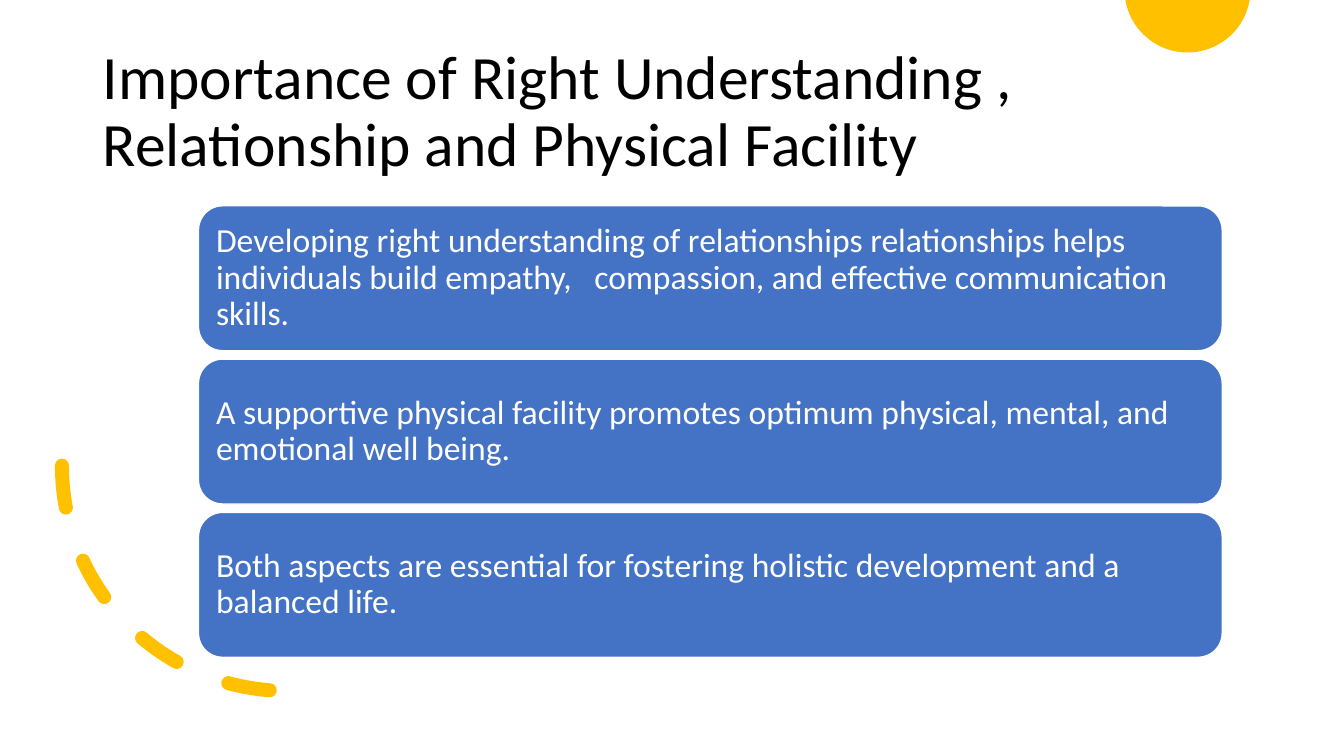
from dataclasses import dataclass
from math import asin, cos, pi, sin

from pptx import Presentation
from pptx.dml.color import RGBColor
from pptx.enum.dml import MSO_LINE
from pptx.enum.shapes import MSO_SHAPE
from pptx.enum.text import MSO_ANCHOR, PP_ALIGN
from pptx.util import Pt

EMU_PER_PX = 9525
DASH = MSO_LINE.DASH
ARC, ROUNDED = MSO_SHAPE.ARC, MSO_SHAPE.ROUNDED_RECTANGLE
MIDDLE, LEFT = MSO_ANCHOR.MIDDLE, PP_ALIGN.LEFT


@dataclass(frozen=True)
class Theme:
    font: str = "Calibri"
    title_size: int = 44
    body_size: int = 24
    ink: str = "000000"
    paper: str = "FFFFFF"
    card: str = "4472C4"
    accent: str = "FFC000"


THEME = Theme()
TITLE = "Importance of Right Understanding , Relationship and Physical Facility"
POINTS = [
    "Developing right understanding of relationships relationships helps "
    "individuals build empathy,   compassion, and effective communication skills.",
    "A supportive physical facility promotes optimum physical, mental, and "
    "emotional well being.",
    "Both aspects are essential for fostering holistic development and a balanced life.",
]


def px(*lengths):
    return [length * EMU_PER_PX for length in lengths]


def rgb(colour):
    return RGBColor.from_string(colour)


def write_text(box, text, *, size, colour, inset_x=10, inset_y=5):
    frame = box.text_frame
    frame.word_wrap = True
    frame.vertical_anchor = MIDDLE
    frame.margin_left = frame.margin_right = inset_x * EMU_PER_PX
    frame.margin_top = frame.margin_bottom = inset_y * EMU_PER_PX
    para = frame.paragraphs[0]
    para.alignment = LEFT
    para.line_spacing = 0.9
    span = para.add_run()
    span.text = text
    span.font.name = THEME.font
    span.font.size = Pt(size)
    span.font.color.rgb = rgb(colour)


def add_cut_disc(page, centre_x, centre_y, radius, steps=60):
    """Draw the part of a disc that lies below the top edge of the page."""
    start = asin(-centre_y / radius)
    angles = [start + (pi - 2 * start) * step / steps for step in range(steps + 1)]
    outline = [
        (round((centre_x + radius * cos(angle)) * EMU_PER_PX),
         round((centre_y + radius * sin(angle)) * EMU_PER_PX))
        for angle in angles
    ]
    builder = page.shapes.build_freeform(*outline[0])
    builder.add_line_segments(outline[1:], close=True)
    disc = builder.convert_to_shape()
    disc.shadow.inherit = False
    disc.fill.solid()
    disc.fill.fore_color.rgb = rgb(THEME.accent)
    disc.line.fill.background()


def add_dashed_arc(page, left, top, size):
    """Draw the lower left quarter of a circle as round-ended dashes."""
    arc = page.shapes.add_shape(ARC, *px(left, top, size, size))
    arc.shadow.inherit = False
    arc.fill.background()
    arc.rotation = 90
    arc.element.spPr.xfrm.set("flipV", "1")
    arc.line.color.rgb = rgb(THEME.accent)
    arc.line.width = Pt(10)
    arc.line.dash_style = DASH
    arc.line._get_or_add_ln().set("cap", "rnd")


def add_card(page, text, left, top, width, height):
    card = page.shapes.add_shape(ROUNDED, *px(left, top, width, height))
    card.shadow.inherit = False
    card.fill.solid()
    card.fill.fore_color.rgb = rgb(THEME.card)
    card.line.color.rgb = rgb(THEME.paper)
    card.line.width = Pt(1)
    write_text(card, text, size=THEME.body_size, colour=THEME.paper, inset_y=10)


def main():
    deck = Presentation()
    deck.slide_width, deck.slide_height = px(1280, 720)
    page = deck.slides.add_slide(deck.slide_layouts[6])

    add_cut_disc(page, 1131, -10, 60)
    title = page.shapes.add_textbox(*px(88, 38, 1104, 139))
    write_text(title, TITLE, size=THEME.title_size, colour=THEME.ink)
    add_dashed_arc(page, 59, 229, 429)

    card_height, gap = 138, 8
    for row, text in enumerate(POINTS):
        add_card(page, text, 189, 196 + row * (card_height + gap), 975, card_height)

    deck.save("out.pptx")


if __name__ == "__main__":
    main()
